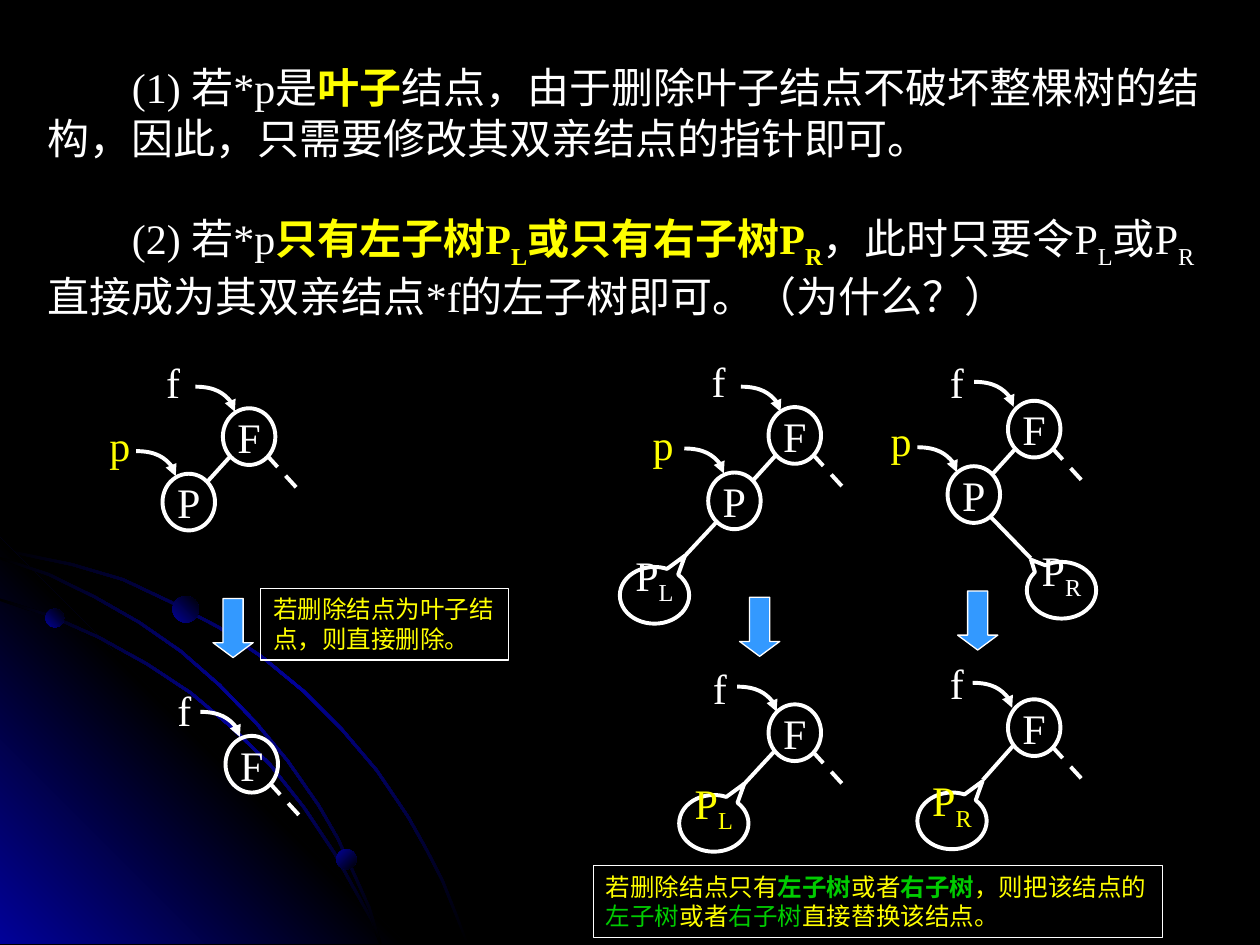
import math
import pptx
import pptx.util
import pptx.dml.color
import pptx.enum.dml
import pptx.enum.shapes
import pptx.enum.text
import pptx.oxml
import pptx.oxml.ns
from lxml import etree

Pt = pptx.util.Pt
RGB = pptx.dml.color.RGBColor
KIND = pptx.enum.shapes.MSO_SHAPE
LINK = pptx.enum.shapes.MSO_CONNECTOR
ANCHOR = pptx.enum.text.MSO_ANCHOR
ALIGN = pptx.enum.text.PP_ALIGN
qn = pptx.oxml.ns.qn

WHITE, BLACK = RGB(255, 255, 255), RGB(0, 0, 0)
YELLOW, GREEN = RGB(255, 255, 0), RGB(0, 204, 0)
BLUE, NAVY = RGB(0x33, 0x99, 0xFF), RGB(1, 1, 0x99)
FONT = "Times New Roman"

# Content: a run is (text, colour, style); b is bold, s is subscript
CASES = [
    [("(1) 若*p是", WHITE, ""), ("叶子", YELLOW, "b"),
     ("结点，由于删除叶子结点不破坏整棵树的结构，因此，只需要修改其双亲结点的指针即可。", WHITE, "")],
    [("(2) 若*p", WHITE, ""), ("只有左子树P", YELLOW, "b"), ("L", YELLOW, "bs"),
     ("或只有右子树P", YELLOW, "b"), ("R", YELLOW, "bs"),
     ("，此时只要令P", WHITE, ""), ("L", WHITE, "s"), ("或P", WHITE, ""),
     ("R", WHITE, "s"), ("直接成为其双亲结点*f的左子树即可。（为什么？）", WHITE, "")],
]
NOTES = [
    ((149, 336.2, 141.8, 41), [
        [("若删除结点为叶子结", YELLOW, "")],
        [("点，则直接删除。", YELLOW, "")]]),
    ((339.1, 494.6, 325.4, 41), [
        [("若删除结点只有", YELLOW, ""), ("左子树", GREEN, "b"), ("或者", YELLOW, ""),
         ("右子树", GREEN, "b"), ("，则把该结点的", YELLOW, "")],
        [("左子树", GREEN, ""), ("或者", YELLOW, ""), ("右子树", GREEN, ""),
         ("直接替换该结点。", YELLOW, "")]]),
]

# Trees: corner of F, whether P hangs below it,
# pointers (name, label corner, curve start),
# subtree (letter, colour, corner, tip, edge start, edge end)
LEFT, RIGHT = (0.44, -0.7), (-0.44, -0.54)
TREES = [
    ((127.4, 233.3), True,
     [("f", (87.8, 200.2), (111.6, 221)), ("p", (55.4, 236.2), (77.8, 257.8))], None),
    ((128.9, 420.5), False, [("f", (94.3, 387.4), (114.5, 406.8))], None),
    ((439.2, 232.6), True,
     [("f", (399.6, 199.4), (423.4, 221)), ("p", (365.8, 235.4), (391, 256.3))],
     ("L", WHITE, (354.2, 324), LEFT, (409, 298.8), (390.2, 319))),
    ((439.2, 402.5), False, [("f", (400.3, 375.1), (421.2, 392.4))],
     ("L", YELLOW, (388.1, 454.3), LEFT, (442.1, 429.8), (423.4, 450))),
    ((576, 229), True,
     [("f", (535.7, 200.2), (556.6, 218.2)), ("p", (501.8, 233.3), (524.2, 255.6))],
     ("R", WHITE, (586.8, 321.1), RIGHT, (566.6, 295.9), (589, 319))),
    ((576, 399.6), False, [("f", (535.7, 372.2), (555.8, 390.2))],
     ("R", YELLOW, (524.2, 452.9), LEFT, (578.9, 426.2), (561.6, 445.7))),
]
ARROWS = [(121.7, 342), (422.6, 341.3), (547.2, 337.7)]

# Backdrop: outer edges of the arcs, and beads (x, y, size, angle)
ARCS = [
    [(0, 313.2), (20.2, 317.5), (41, 321.8), (70.6, 330.5), (97.9, 343.4),
     (125.3, 357.8), (150.5, 375.1), (174.2, 394.6), (195.8, 416.2), (216, 439.9),
     (234, 466.6), (244.1, 484.6), (253.4, 502.6), (260.6, 520.6), (267.8, 539.3)],
    [(0, 342), (29.5, 351.4), (56.9, 363.6), (84.2, 378.7), (109.4, 395.3),
     (132.5, 414.7), (154.8, 436.3), (174.2, 460.8), (191.5, 486.7),
     (205.9, 512.6), (213.1, 525.6), (218.2, 539.3)],
    [(0, 318.2), (28.1, 327.6), (54.7, 340.6), (79.9, 355), (103.7, 371.5),
     (126, 391), (146.9, 412.6), (164.9, 434.2), (182.9, 460.1), (193.7, 478.8),
     (203, 499), (211.7, 518.4), (218.2, 539.3)],
]
WEDGE = [(0, 307.4), (231.8, 539.3), (0, 539.3)]
BEADS = [(25.9, 347.8, 10.8, 315), (192.2, 485.3, 11.5, 45), (98.6, 340.6, 15.1, 315)]

deck = pptx.Presentation()
deck.slide_width, deck.slide_height = Pt(720), Pt(540)
slide = deck.slides.add_slide(deck.slide_layouts[1])
shapes = slide.shapes
slide.background.fill.solid()
slide.background.fill.fore_color.rgb = BLACK


def write(para, runs, size):
    for text, color, style in runs:
        run = para.add_run()
        run.text = text
        font = run.font
        font.name, font.size, font.bold = FONT, Pt(size), "b" in style
        font.color.rgb = color
        if "s" in style:
            font._element.set("baseline", "-25000")


def add(kind, x, y, w, h, line=2.25):
    shape = shapes.add_shape(kind, Pt(x), Pt(y), Pt(w), Pt(h))
    shape.shadow.inherit = False
    shape.fill.background()
    shape.line.color.rgb = WHITE
    shape.line.width = Pt(line)
    return shape


def label(shape, runs, anchor=ANCHOR.MIDDLE):
    frame = shape.text_frame
    frame.word_wrap = False
    frame.vertical_anchor = anchor
    frame.paragraphs[0].alignment = ALIGN.CENTER
    write(frame.paragraphs[0], runs, 24)


def link(start, end, kind=LINK.STRAIGHT):
    wire = shapes.add_connector(kind, *[Pt(v) for v in (*start, *end)])
    wire.line.color.rgb = WHITE
    wire.line.width = Pt(2.25)
    etree.SubElement(wire._element.spPr, qn("a:effectLst"))
    return wire


def shade(shape, stops, angle):
    shape.shadow.inherit = False
    shape.line.fill.background()
    shape.fill.background()
    step = 100000 // (len(stops) - 1)
    grad = etree.Element(qn("a:gradFill"))
    parts = etree.SubElement(grad, qn("a:gsLst"))
    for i, color in enumerate(stops):
        stop = etree.SubElement(parts, qn("a:gs"), pos=str(i * step))
        etree.SubElement(stop, qn("a:srgbClr"), val=str(color))
    etree.SubElement(grad, qn("a:lin"), ang=str(angle * 60000), scaled="1")
    props = shape._element.spPr
    props.replace(props.find(qn("a:noFill")), grad)


def outline(points):
    dots = [(Pt(x), Pt(y)) for x, y in points]
    form = shapes.build_freeform(*dots[0], scale=1.0)
    form.add_line_segments(dots[1:], close=True)
    return form.convert_to_shape()


def band(edge, thick=1.5):
    inner = []
    for i, (x, y) in enumerate(edge):
        (ax, ay), (bx, by) = edge[max(i - 1, 0)], edge[min(i + 1, len(edge) - 1)]
        ratio = thick / math.hypot(bx - ax, by - ay)
        inner.append((max(0, x - (by - ay) * ratio), min(539.3, y + (bx - ax) * ratio)))
    return edge + inner[::-1]


def node(name, x, y):
    label(add(KIND.OVAL, x, y, 30, 32.4), [(name, WHITE, "")])


def point(name, spot, start):
    box = shapes.add_textbox(Pt(spot[0]), Pt(spot[1]), Pt(24), Pt(36))
    box.text_frame.word_wrap = False
    color = YELLOW if name == "p" else WHITE
    write(box.text_frame.paragraphs[0], [(name, color, "")], 24)
    x, y = start
    wire = link(start, (x + 22.6, y + 14.3), LINK.CURVE)
    props = wire._element.spPr
    props.find(qn("a:prstGeom")).set("prst", "curvedConnector2")
    etree.SubElement(props.find(qn("a:ln")), qn("a:tailEnd"), type="triangle")


def branch(letter, color, spot, tip, start, end):
    link(start, end)
    bubble = add(KIND.OVAL_CALLOUT, *spot, 39.6, 32.4)
    bubble.adjustments[0], bubble.adjustments[1] = tip
    bubble.text_frame.margin_bottom = Pt(5)
    label(bubble, [("P", color, ""), (letter, color, "s")], ANCHOR.BOTTOM)


# Backdrop
shade(outline(band(ARCS[0])), [BLACK, NAVY, BLACK], 45)
shade(outline(WEDGE), [NAVY, BLACK, NAVY], 315)
for edge in ARCS[1:]:
    shade(outline(band(edge)), [BLACK, NAVY, BLACK], 45)
for x, y, size, angle in BEADS:
    shade(add(KIND.OVAL, x, y, size, size), [NAVY, BLACK], angle)

# Body text
title = shapes.title._element
title.getparent().remove(title)
body = slide.placeholders[1]
body.left, body.top, body.width, body.height = Pt(20.2), Pt(31.7), Pt(680.4), Pt(152.6)
frame = body.text_frame
frame.auto_size = pptx.enum.text.MSO_AUTO_SIZE.NONE
for i, runs in enumerate(CASES):
    para = frame.add_paragraph() if i else frame.paragraphs[0]
    para.space_before = Pt(28.8 if i else 0)
    props = para._element.get_or_add_pPr()
    props.set("marL", "0")
    props.set("indent", str(Pt(48)))
    etree.SubElement(props, qn("a:buNone"))
    write(para, runs, 24)

# Trees
for (x, y), child, marks, sub in TREES:
    node("F", x, y)
    dash = link((x + 25.2, y + 27), (x + 45, y + 48.6))
    dash.line.dash_style = pptx.enum.dml.MSO_LINE.DASH
    if child:
        node("P", x - 34.5, y + 37.4)
        link((x + 4.3, y + 27.4), (x - 9.4, y + 42.5))
    for mark in marks:
        point(*mark)
    if sub:
        branch(*sub)

# Arrows from before to after
for x, y in ARROWS:
    arrow = add(KIND.DOWN_ARROW, x, y, 23, 33.8, 0.75)
    arrow.adjustments[1] = 0.37
    arrow.fill.solid()
    arrow.fill.fore_color.rgb = BLUE

# Framed notes
for place, lines in NOTES:
    frame = add(KIND.RECTANGLE, *place, 0.75).text_frame
    frame.word_wrap = False
    frame.vertical_anchor = ANCHOR.TOP
    for i, runs in enumerate(lines):
        para = frame.add_paragraph() if i else frame.paragraphs[0]
        para.alignment = ALIGN.LEFT
        write(para, runs, 14)

deck.save("out.pptx")
